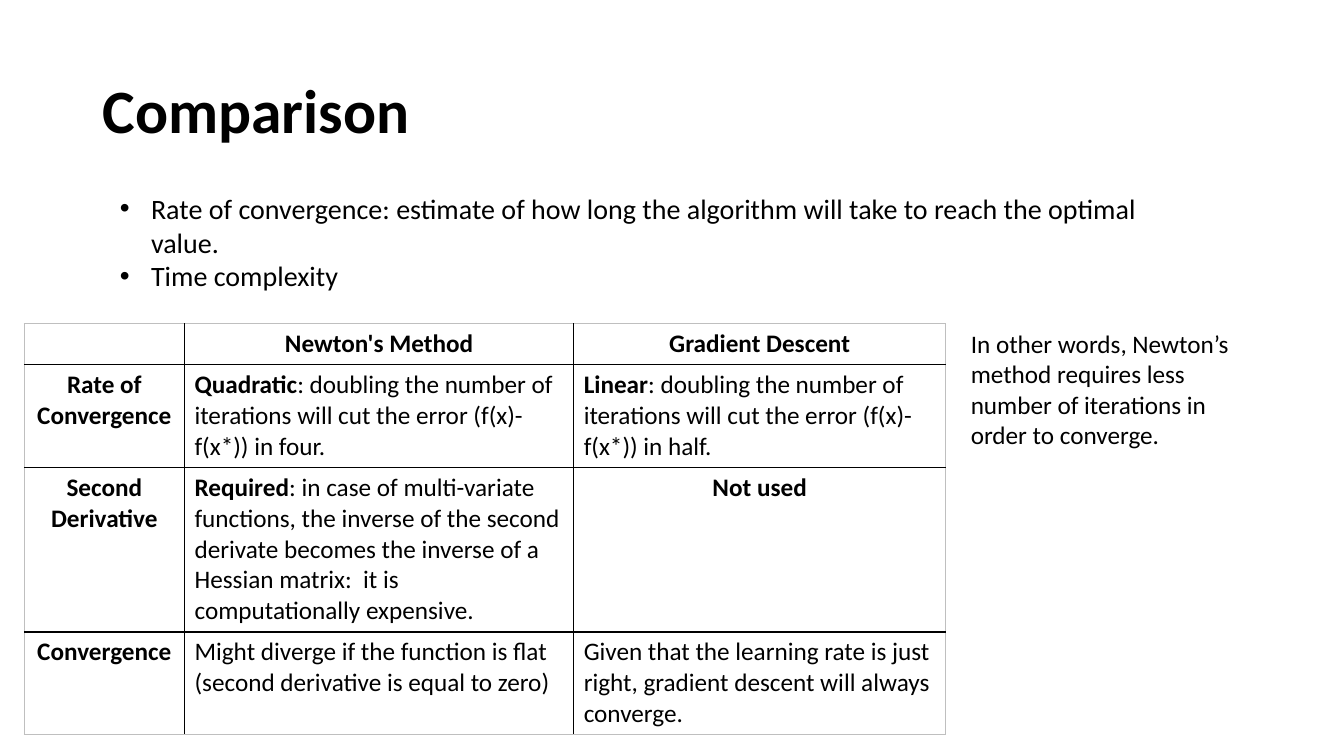
"""Build the slide comparing Newton's method with gradient descent."""
from lxml.etree import SubElement
from pptx import Presentation
from pptx.dml.color import RGBColor
from pptx.enum.text import MSO_ANCHOR, PP_ALIGN
from pptx.oxml import parse_xml
from pptx.oxml.ns import nsdecls, qn
from pptx.util import Inches, Pt


def style(run, size, bold=False, color="000000"):
    run.font.name = "Calibri"
    run.font.size = Pt(size)
    run.font.bold = bold
    run.font.color.rgb = RGBColor.from_string(color)


def add_text(left, top, width, height, lines, size, bold=False):
    box = slide.shapes.add_textbox(Inches(left), Inches(top), Inches(width), Inches(height))
    frame = box.text_frame
    frame.word_wrap = True
    frame.text = "\n".join(lines)
    for paragraph in frame.paragraphs:
        style(paragraph.runs[0], size, bold)
    return frame


presentation = Presentation()
presentation.slide_width = Inches(13.33)
presentation.slide_height = Inches(7.5)
slide = presentation.slides.add_slide(presentation.slide_layouts[6])

title = add_text(0.92, 0.4, 11.5, 1.45, ["Comparison"], 44, True)
title.vertical_anchor = MSO_ANCHOR.MIDDLE
title.paragraphs[0].line_spacing = 0.9

column_widths = [1.59, 3.86, 3.69]
row_heights = [0.41, 1.02, 1.63, 1.02]
comparison_rows = [
    [("", ""), ("Newton's Method", ""), ("Gradient Descent", "")],
    [("Rate of Convergence", ""),
     ("Quadratic", ": doubling the number of iterations will cut the error (f(x)-f(x*)) in four."),
     ("Linear", ": doubling the number of iterations will cut the error (f(x)-f(x*)) in half.")],
    [("Second Derivative", ""),
     ("Required", ": in case of multi-variate functions, the inverse of the second derivate "
                  "becomes the inverse of a Hessian matrix:  it is computationally expensive."),
     ("Not used", "")],
    [("Convergence", ""),
     ("", "Might diverge if the function is flat (second derivative is equal to zero)"),
     ("", "Given that the learning rate is just right, gradient descent will always converge.")],
]
last_row, last_column = len(row_heights) - 1, len(column_widths) - 1
comparison = slide.shapes.add_table(
    len(row_heights), len(column_widths), Inches(0.24), Inches(3.21),
    Inches(sum(column_widths)), Inches(sum(row_heights))).table
for column, width in zip(comparison.columns, column_widths):
    column.width = Inches(width)
for row, height in zip(comparison.rows, row_heights):
    row.height = Inches(height)

for r, entries in enumerate(comparison_rows):
    for c, (lead, detail) in enumerate(entries):
        cell = comparison.cell(r, c)
        cell.fill.background()
        paragraph = cell.text_frame.paragraphs[0]
        if not detail:
            paragraph.alignment = PP_ALIGN.CENTER
        for words, bold in ((lead, True), (detail, False)):
            if words:
                run = paragraph.add_run()
                run.text = words
                style(run, 18, bold)
        outer_sides = {"L": c == 0, "R": c == last_column, "T": r == 0, "B": r == last_row}
        for position, (side, is_outer) in enumerate(outer_sides.items()):
            color, weight = ("BFBFBF", 0.5) if is_outer else ("000000", 1)
            cell._tc.get_or_add_tcPr().insert(position, parse_xml(
                f'<a:ln{side} {nsdecls("a")} w="{Pt(weight)}"><a:solidFill>'
                f'<a:srgbClr val="{color}"/></a:solidFill></a:ln{side}>'))

criteria = add_text(1.09, 1.85, 10.76, 1.72, [
    "Rate of convergence: estimate of how long the algorithm will take to reach the optimal value.",
    "Time complexity"], 20)
for paragraph in criteria.paragraphs:
    properties = paragraph._p.get_or_add_pPr()
    properties.set("marL", str(Inches(0.31)))
    properties.set("indent", str(Inches(-0.31)))
    SubElement(properties, qn("a:buFont"), typeface="Arial")
    SubElement(properties, qn("a:buChar"), char="•")

add_text(9.53, 3.21, 2.98, 1.31, [
    "In other words, Newton’s method requires less number of iterations in order to converge."], 18)

presentation.save("out.pptx")
